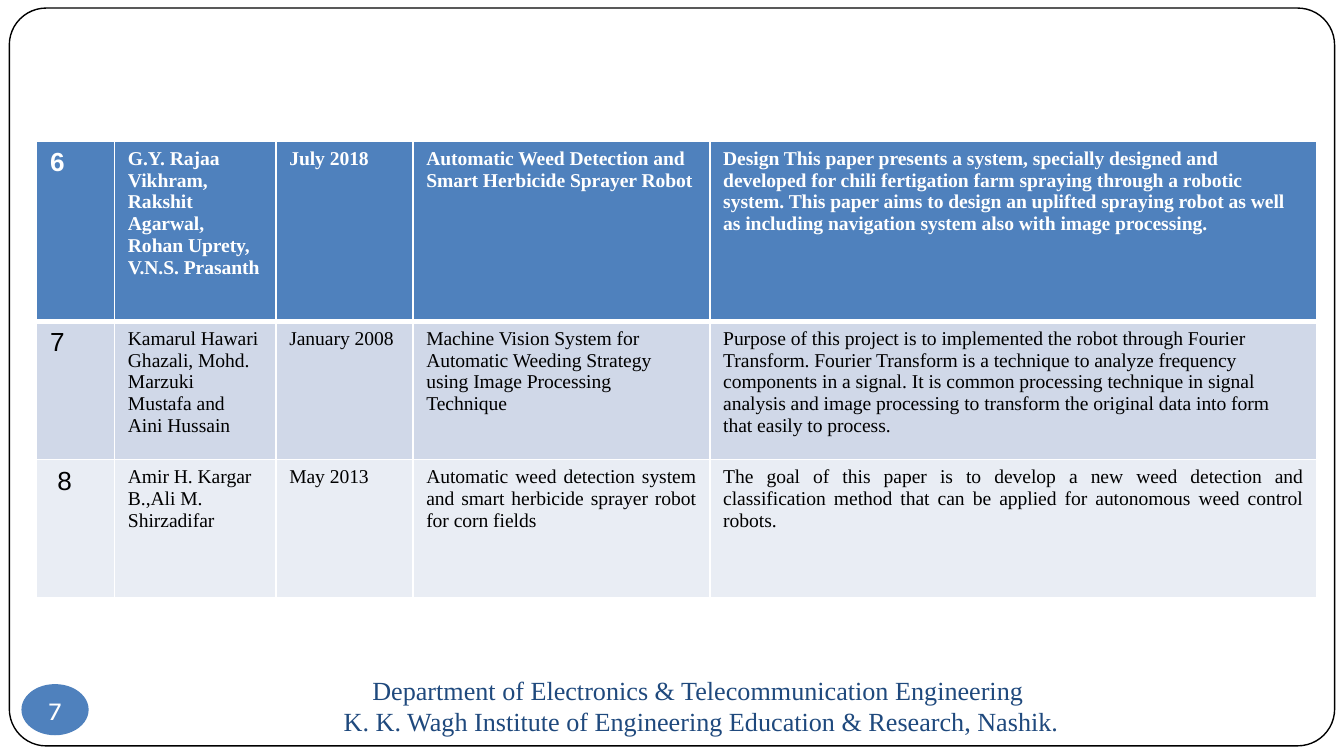
from lxml import etree
from pptx import Presentation
from pptx.dml.color import RGBColor
from pptx.enum.shapes import MSO_SHAPE
from pptx.enum.text import MSO_ANCHOR, PP_ALIGN
from pptx.oxml.ns import qn
from pptx.util import Pt

ROUNDED = MSO_SHAPE.ROUNDED_RECTANGLE
OVAL = MSO_SHAPE.OVAL
MIDDLE = MSO_ANCHOR.MIDDLE
LEFT, CENTER, JUSTIFY = PP_ALIGN.LEFT, PP_ALIGN.CENTER, PP_ALIGN.JUSTIFY

WHITE = RGBColor(0xFF, 0xFF, 0xFF)
BLACK = RGBColor(0x00, 0x00, 0x00)
BLUE = RGBColor(0x4F, 0x81, 0xBD)
NAVY = RGBColor(0x1F, 0x49, 0x7D)
BAND_DARK = RGBColor(0xD0, 0xD8, 0xE8)
BAND_LIGHT = RGBColor(0xE9, 0xED, 0xF4)

SERIF = "Times New Roman"
COLUMN_WIDTHS = [41.8, 86.4, 73.4, 159.1, 325.4]
ROW_HEIGHTS = [96.5, 74.2, 74.2]
ROW_FILLS = [BLUE, BAND_DARK, BAND_LIGHT]

PAPERS = [
    ["6",
     "G.Y. Rajaa Vikhram, Rakshit Agarwal, Rohan Uprety, V.N.S. Prasanth",
     "July 2018",
     "Automatic Weed Detection and Smart Herbicide Sprayer Robot",
     "Design This paper presents a system, specially designed and developed for "
     "chili fertigation farm spraying through a robotic system. This paper aims to "
     "design an uplifted spraying robot as well as including navigation system also "
     "with image processing."],
    ["7",
     "Kamarul Hawari Ghazali, Mohd. Marzuki Mustafa and Aini Hussain",
     "January 2008",
     "Machine Vision System for Automatic Weeding Strategy using Image Processing "
     "Technique",
     "Purpose of this project is to implemented the robot through Fourier Transform. "
     "Fourier Transform is a technique to analyze frequency components in a signal. "
     "It is common processing technique in signal analysis and image processing to "
     "transform the original data into form that easily to process."],
    ["8",
     "Amir H. Kargar B.,Ali M. Shirzadifar",
     "May 2013",
     "Automatic weed detection system and smart herbicide sprayer robot for corn "
     "fields",
     "The goal of this paper is to develop a new weed detection and classification "
     "method that can be applied for autonomous weed control robots."],
]


def write(paragraph, text, size, font, color, align=LEFT, bold=False):
    paragraph.alignment = align
    run = paragraph.add_run()
    run.text = text
    run.font.size = Pt(size)
    run.font.name = font
    run.font.bold = bold
    run.font.color.rgb = color


def add_frame(slide):
    frame = slide.shapes.add_shape(ROUNDED, Pt(5), Pt(4.3), Pt(710), Pt(395.3))
    frame.adjustments[0] = 0.05
    frame.shadow.inherit = False
    frame.fill.solid()
    frame.fill.fore_color.rgb = WHITE
    frame.line.color.rgb = BLACK
    frame.line.width = Pt(0.75)


def add_footer(slide, lines):
    footer = slide.shapes.add_textbox(Pt(72), Pt(364.3), Pt(607.7), Pt(27.4)).text_frame
    footer.word_wrap = True
    footer.vertical_anchor = MIDDLE
    for index, line in enumerate(lines):
        paragraph = footer.add_paragraph() if index else footer.paragraphs[0]
        write(paragraph, line, 14, SERIF, NAVY, CENTER)


def add_page_badge(slide, number):
    badge = slide.shapes.add_shape(OVAL, Pt(11.5), Pt(366.5), Pt(36), Pt(27.4))
    badge.shadow.inherit = False
    badge.fill.solid()
    badge.fill.fore_color.rgb = BLUE
    badge.line.fill.background()
    label = badge.text_frame
    label.margin_left = label.margin_right = label.margin_top = label.margin_bottom = 0
    label.vertical_anchor = MIDDLE
    write(label.paragraphs[0], number, 14, "Karla", WHITE, CENTER)


def set_borders(cell, widths):
    properties = cell._tc.get_or_add_tcPr()
    for position, (side, width) in enumerate(widths.items()):
        border = etree.Element(qn(f"a:{side}"), w=str(Pt(width)))
        fill = etree.SubElement(border, qn("a:solidFill"))
        etree.SubElement(fill, qn("a:srgbClr"), val=str(WHITE))
        properties.insert(position, border)


def add_papers_table(slide):
    table = slide.shapes.add_table(
        len(PAPERS), len(COLUMN_WIDTHS), Pt(19.6), Pt(75.6),
        Pt(sum(COLUMN_WIDTHS)), Pt(sum(ROW_HEIGHTS))).table
    for column, width in zip(table.columns, COLUMN_WIDTHS):
        column.width = Pt(width)
    for row_index, paper in enumerate(PAPERS):
        table.rows[row_index].height = Pt(ROW_HEIGHTS[row_index])
        heading = row_index == 0
        color = WHITE if heading else BLACK
        for column_index, text in enumerate(paper):
            cell = table.cell(row_index, column_index)
            cell.fill.solid()
            cell.fill.fore_color.rgb = ROW_FILLS[row_index]
            set_borders(cell, {"lnL": 1, "lnR": 1,
                               "lnT": 3 if row_index == 1 else 1,
                               "lnB": 3 if heading else 1})
            size, font = (10.5, SERIF) if column_index else (14, "Arial")
            align = JUSTIFY if row_index == 2 and column_index > 2 else LEFT
            write(cell.text_frame.paragraphs[0], text, size, font, color, align, heading)
    table.cell(2, 0).margin_left = Pt(11.1)


def main():
    deck = Presentation()
    deck.slide_width, deck.slide_height = Pt(720), Pt(405)
    slide = deck.slides.add_slide(deck.slide_layouts[6])
    add_frame(slide)
    add_footer(slide, [
        "Department of Electronics & Telecommunication Engineering ",
        "K. K. Wagh Institute of Engineering Education & Research, Nashik.",
    ])
    add_page_badge(slide, "7")
    add_papers_table(slide)
    deck.save("out.pptx")


if __name__ == "__main__":
    main()
